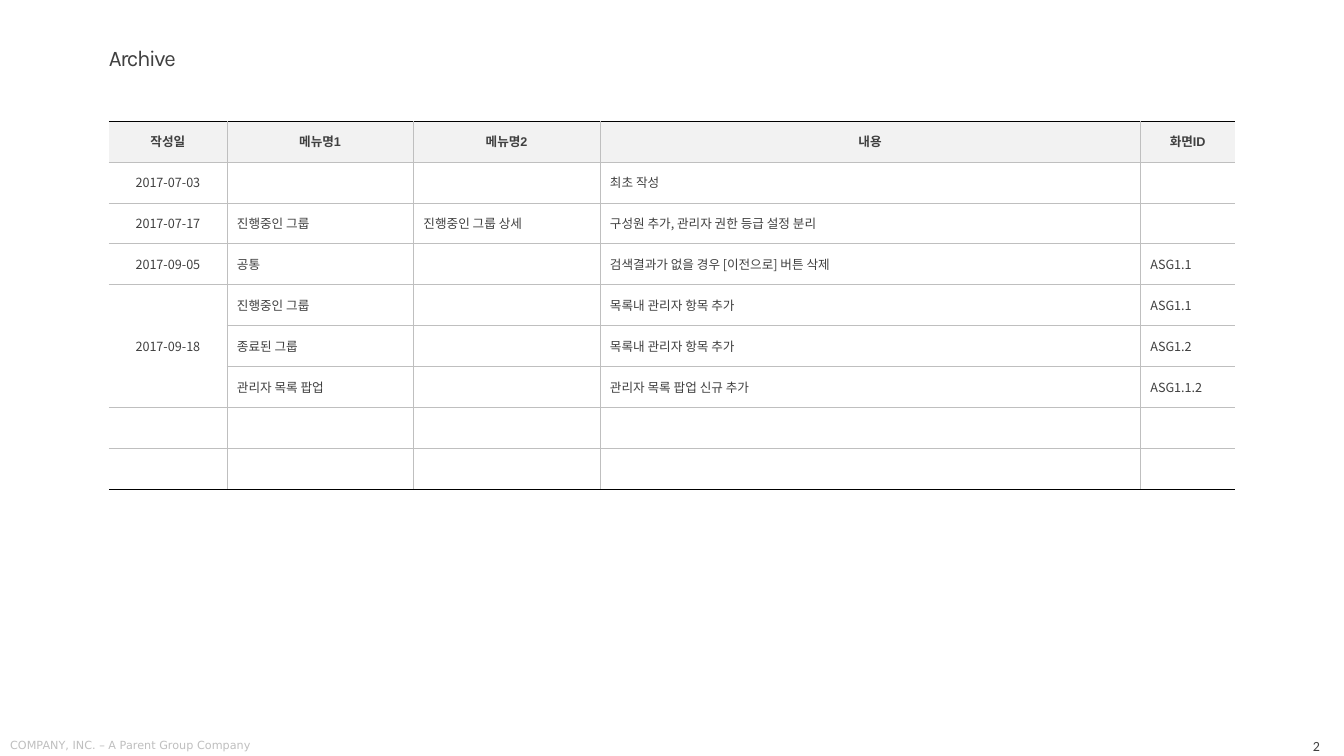
"""Build the archive slide: a change-history table with title and footer."""
from lxml import etree
from pptx import Presentation
from pptx.dml.color import RGBColor
from pptx.enum.text import MSO_ANCHOR, PP_ALIGN
from pptx.oxml.ns import qn
from pptx.util import Inches, Pt

LEFT, CENTER, RIGHT = PP_ALIGN.LEFT, PP_ALIGN.CENTER, PP_ALIGN.RIGHT
TOP, MIDDLE = MSO_ANCHOR.TOP, MSO_ANCHOR.MIDDLE

KOREAN = "Noto Sans CJK KR"
INK, GREY, BLACK, HEADER_FILL = "404040", "BFBFBF", "000000", "F2F2F2"
COL_WIDTHS = [1.17, 1.85, 1.85, 5.36, 0.94]
TABLE_HEIGHT = 3.65
ROWS = [
    ["작성일", "메뉴명1", "메뉴명2", "내용", "화면ID"],
    ["2017-07-03", "", "", "최초 작성", ""],
    ["2017-07-17", "진행중인 그룹", "진행중인 그룹 상세",
     "구성원 추가, 관리자 권한 등급 설정 분리", ""],
    ["2017-09-05", "공통", "", "검색결과가 없을 경우 [이전으로] 버튼 삭제", "ASG1.1"],
    ["2017-09-18", "진행중인 그룹", "", "목록내 관리자 항목 추가", "ASG1.1"],
    ["", "종료된 그룹", "", "목록내 관리자 항목 추가", "ASG1.2"],
    ["", "관리자 목록 팝업", "", "관리자 목록 팝업 신규 추가", "ASG1.1.2"],
    [""] * 5,
    [""] * 5,
]
MERGED_DATE_ROWS = (4, 6)


def rgb(color):
    """Turn a hex string into a colour."""
    return RGBColor.from_string(color)


def write(p, text, size, font, color=INK, bold=False, align=LEFT):
    """Fill a paragraph with one formatted run and return the run."""
    p.alignment = align
    r = p.add_run()
    r.text = text
    r.font.size = Pt(size)
    r.font.bold = bold
    r.font.name = font
    r.font.color.rgb = rgb(color)
    etree.SubElement(r.font._element, qn("a:ea"), typeface=KOREAN)
    return r


def add_text(slide, box, text, size, font, color=INK, align=LEFT,
             anchor=TOP, insets=(0.04, 0.05)):
    """Add a one-line text box and return its run."""
    sp = slide.shapes.add_textbox(*(Inches(v) for v in box))
    tf = sp.text_frame
    tf.word_wrap = True
    tf.vertical_anchor = anchor
    tf.margin_left = tf.margin_right = Inches(insets[0])
    tf.margin_top = tf.margin_bottom = Inches(insets[1])
    return write(tf.paragraphs[0], text, size, font, color, align=align)


def set_borders(cell, borders):
    """Draw thin cell borders; a side without a colour gets no line."""
    tcPr = cell._tc.get_or_add_tcPr()
    for side in "LRTB":
        ln = etree.SubElement(tcPr, qn(f"a:ln{side}"), w=str(Pt(0.25)))
        if borders[side]:
            fill = etree.SubElement(ln, qn("a:solidFill"))
            etree.SubElement(fill, qn("a:srgbClr"), val=borders[side])
        else:
            etree.SubElement(ln, qn("a:noFill"))


def format_cell(cell, text, row, col):
    """Write and style one cell according to its place in the grid."""
    header = row == 0
    last_row, last_col = len(ROWS) - 1, len(COL_WIDTHS) - 1
    set_borders(cell, {
        "L": GREY if col > 0 else None,
        "R": GREY if col < last_col else None,
        "T": BLACK if header else GREY,
        "B": BLACK if row == last_row else GREY,
    })
    if header:
        cell.fill.solid()
        cell.fill.fore_color.rgb = rgb(HEADER_FILL)
    else:
        cell.fill.background()
    cell.vertical_anchor = MIDDLE
    write(cell.text_frame.paragraphs[0], text, 9, "Arial" if header else KOREAN,
          bold=header, align=CENTER if header or col == 0 else LEFT)


def add_history_table(slide):
    """Add the change-history table."""
    table = slide.shapes.add_table(
        len(ROWS), len(COL_WIDTHS), Inches(1.08), Inches(1.2),
        Inches(sum(COL_WIDTHS)), Inches(TABLE_HEIGHT)).table
    table.first_row = table.horz_banding = False
    for column, width in zip(table.columns, COL_WIDTHS):
        column.width = Inches(width)
    for i, values in enumerate(ROWS):
        table.rows[i].height = Inches(TABLE_HEIGHT / len(ROWS))
        for j, text in enumerate(values):
            format_cell(table.cell(i, j), text, i, j)
    first, last = MERGED_DATE_ROWS
    table.cell(first, 0).merge(table.cell(last, 0))


def main():
    """Build and save the slide."""
    prs = Presentation()
    prs.slide_width, prs.slide_height = Inches(13.33), Inches(7.5)
    slide = prs.slides.add_slide(prs.slide_layouts[6])
    add_text(slide, (12.42, 7.29, 0.71, 0.21), "2", 10, "Calibri",
             align=RIGHT, anchor=MIDDLE)
    add_text(slide, (0.06, 7.28, 3.59, 0.21),
             "COMPANY, INC. – A Parent Group Company", 8, "DejaVu Sans", GREY)
    title = add_text(slide, (1.08, 0.44, 9.37, 0.36), "Archive", 16, "Karla",
                     insets=(0, 0))
    title.font._element.set("spc", "-100")
    add_history_table(slide)
    prs.save("out.pptx")


if __name__ == "__main__":
    main()
